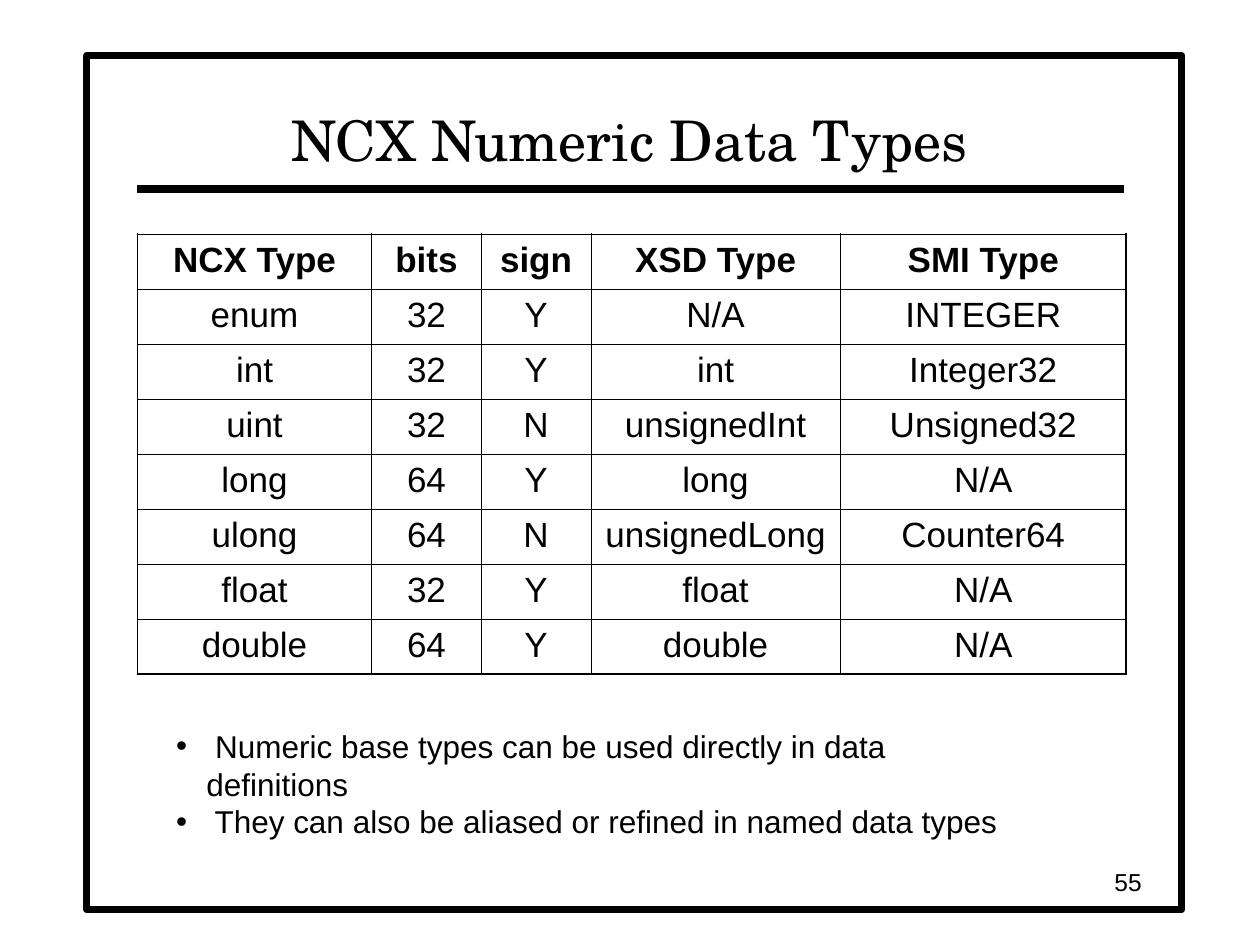
from collections import namedtuple
from dataclasses import dataclass

from lxml.etree import SubElement
from pptx import Presentation
from pptx.dml.color import RGBColor
from pptx.enum.shapes import MSO_CONNECTOR, MSO_SHAPE
from pptx.enum.text import MSO_ANCHOR, MSO_AUTO_SIZE, PP_ALIGN
from pptx.oxml.ns import qn
from pptx.util import Inches, Pt

Box = namedtuple("Box", "left top width height")


@dataclass(frozen=True)
class Theme:
    ink: RGBColor = RGBColor(0, 0, 0)
    paper: RGBColor = RGBColor(255, 255, 255)
    title_font: str = "TeX Gyre Schola"
    body_font: str = "Arial"
    title_size: float = 32
    table_size: float = 20
    note_size: float = 18
    number_size: float = 14
    frame_line: float = 4
    title_rule: float = 4.5
    outer_border: float = 1.08
    inner_border: float = 0.45


THEME = Theme()

# The slide is a grid of 100 columns by 75 rows
COLUMNS, ROWS = 100, 75
CELL = Inches(10) // COLUMNS

FRAME = Box(6.9, 4.4, 86.9, 67.8)
HEADING = Box(10.8, 5, 78.4, 10)
TYPES = Box(10.9, 18.6, 78.5, 34.9)
NOTES = Box(13, 57.2, 68.7, 7)
PAGE_NUMBER = Box(70.8, 68.3, 20.8, 3.3)

COLUMN_WIDTHS = [18.6, 8.7, 8.7, 19.8, 22.7]
TYPE_ROWS = [
    ["NCX Type", "bits", "sign", "XSD Type", "SMI Type"],
    ["enum", "32", "Y", "N/A", "INTEGER"],
    ["int", "32", "Y", "int", "Integer32"],
    ["uint", "32", "N", "unsignedInt", "Unsigned32"],
    ["long", "64", "Y", "long", "N/A"],
    ["ulong", "64", "N", "unsignedLong", "Counter64"],
    ["float", "32", "Y", "float", "N/A"],
    ["double", "64", "Y", "double", "N/A"],
]
NOTE_LINES = [
    " Numeric base types can be used directly in data definitions",
    " They can also be aliased or refined in named data types",
]


def grid(*lengths):
    return [round(length * CELL) for length in lengths]


def style(paragraph, size, font=THEME.body_font, align=PP_ALIGN.LEFT, bold=False):
    paragraph.alignment = align
    paragraph.font.name = font
    paragraph.font.size = Pt(size)
    paragraph.font.bold = bold
    paragraph.font.color.rgb = THEME.ink


def add_text(slide, box, anchor=MSO_ANCHOR.TOP):
    frame = slide.shapes.add_textbox(*grid(*box)).text_frame
    frame.word_wrap = True
    frame.vertical_anchor = anchor
    return frame


def add_frame(slide, box):
    shape = slide.shapes.add_shape(MSO_SHAPE.RECTANGLE, *grid(*box))
    shape.shadow.inherit = False
    shape.fill.solid()
    shape.fill.fore_color.rgb = THEME.paper
    shape.line.color.rgb = THEME.ink
    shape.line.width = Pt(THEME.frame_line)


def add_heading(slide, box, text):
    # Rule along the bottom of the box
    bottom = box.top + box.height
    rule = slide.shapes.add_connector(
        MSO_CONNECTOR.STRAIGHT,
        *grid(box.left + 0.1, bottom, box.left + box.width, bottom))
    rule.line.color.rgb = THEME.ink
    rule.line.width = Pt(THEME.title_rule)
    SubElement(rule._element.spPr, qn("a:effectLst"))

    # Title above the rule
    frame = add_text(slide, box._replace(height=box.height - 0.8), MSO_ANCHOR.BOTTOM)
    frame.text = text
    style(frame.paragraphs[0], THEME.title_size, THEME.title_font, PP_ALIGN.CENTER)


def add_border(cell, side, width):
    line = SubElement(cell._tc.get_or_add_tcPr(), qn(f"a:ln{side}"), w=str(Pt(width)))
    fill = SubElement(line, qn("a:solidFill"))
    SubElement(fill, qn("a:srgbClr"), val=str(THEME.ink))


def add_type_table(slide, box, rows):
    row_count, column_count = len(rows), len(rows[0])
    table = slide.shapes.add_table(row_count, column_count, *grid(*box)).table
    table.first_row = table.horz_banding = False
    for column, width in zip(table.columns, grid(*COLUMN_WIDTHS)):
        column.width = width
    for row in table.rows:
        row.height = grid(box.height / row_count)[0]

    for i, texts in enumerate(rows):
        for j, text in enumerate(texts):
            cell = table.cell(i, j)
            cell.text = text
            style(cell.text_frame.paragraphs[0], THEME.table_size,
                  align=PP_ALIGN.CENTER, bold=i == 0)
            # Heavier border around the outside
            outside = {"L": j == 0, "R": j == column_count - 1,
                       "T": i == 0, "B": i == row_count - 1}
            for side, outer in outside.items():
                add_border(cell, side, THEME.outer_border if outer else THEME.inner_border)
            cell.fill.background()


def add_bullet(paragraph):
    properties = paragraph._p.get_or_add_pPr()
    indent = Inches(0.24)
    properties.set("marL", str(indent))
    properties.set("indent", str(-indent))
    SubElement(properties, qn("a:buFont"), typeface=THEME.body_font)
    SubElement(properties, qn("a:buChar"), char="•")


def add_notes(slide, box, lines):
    frame = add_text(slide, box)
    frame.auto_size = MSO_AUTO_SIZE.SHAPE_TO_FIT_TEXT
    frame.text = "\n".join(lines)
    for paragraph in frame.paragraphs:
        add_bullet(paragraph)
        style(paragraph, THEME.note_size)


def add_page_number(slide, box, number):
    frame = add_text(slide, box, MSO_ANCHOR.MIDDLE)
    frame.text = number
    style(frame.paragraphs[0], THEME.number_size, align=PP_ALIGN.RIGHT)


def main():
    presentation = Presentation()
    presentation.slide_width = COLUMNS * CELL
    presentation.slide_height = ROWS * CELL
    slide = presentation.slides.add_slide(presentation.slide_layouts[6])

    add_frame(slide, FRAME)
    add_heading(slide, HEADING, "NCX Numeric Data Types")
    add_type_table(slide, TYPES, TYPE_ROWS)
    add_notes(slide, NOTES, NOTE_LINES)
    add_page_number(slide, PAGE_NUMBER, "55")
    presentation.save("out.pptx")


if __name__ == "__main__":
    main()
